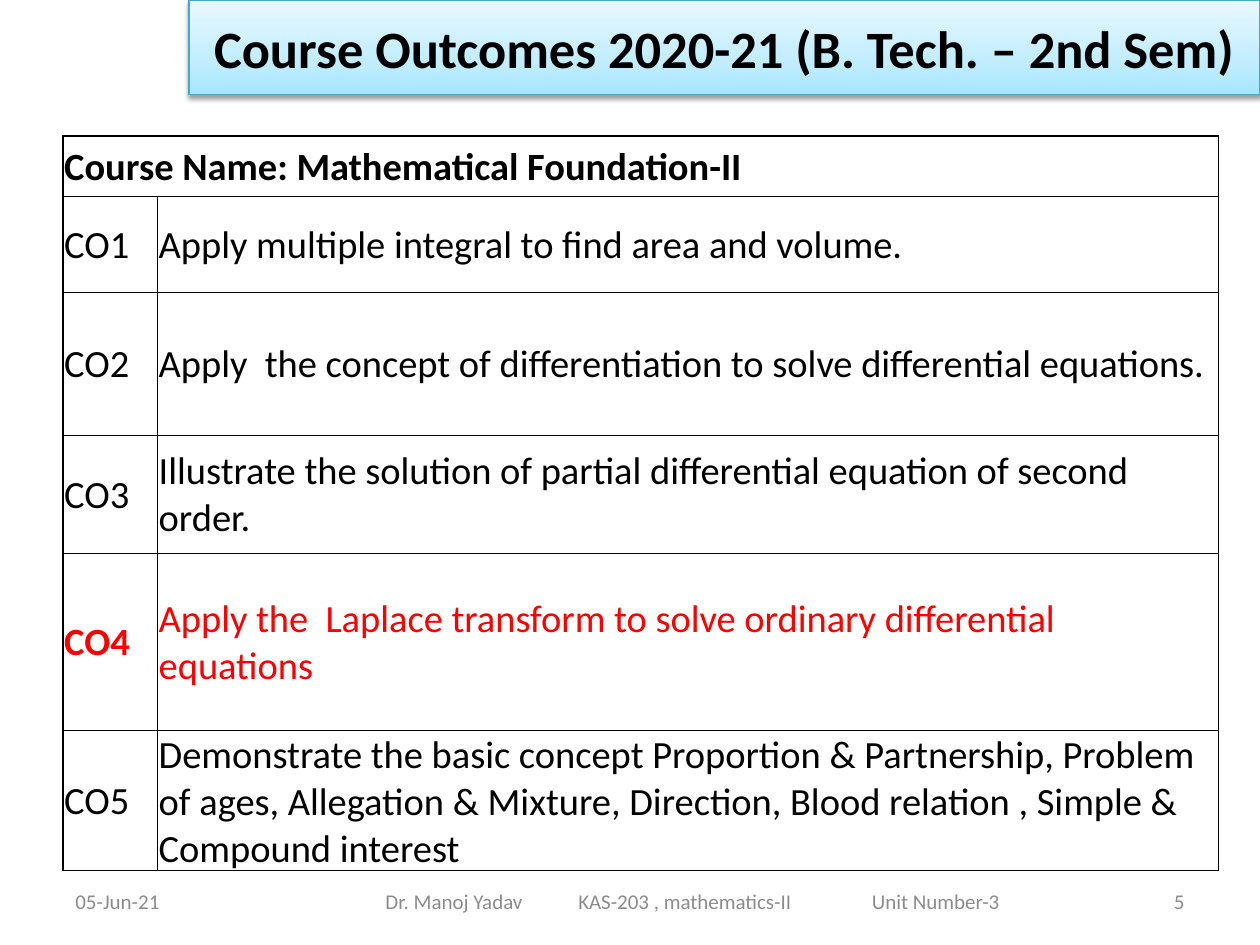
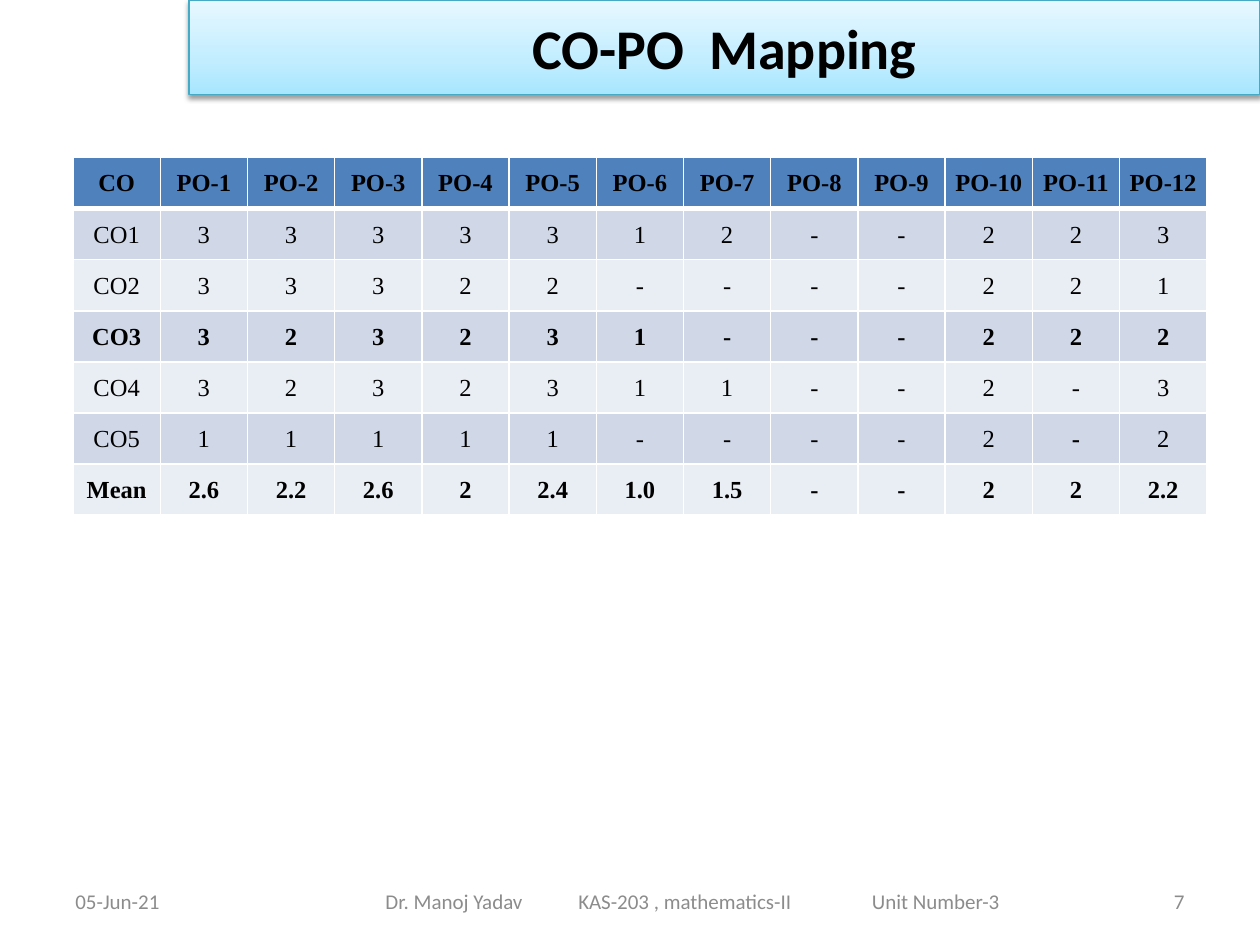
"""Builds the course outcome and CO-PO mapping slides."""
from pptx import Presentation
from pptx.dml.color import RGBColor
from pptx.enum.text import MSO_ANCHOR, MSO_AUTO_SIZE, PP_ALIGN
from pptx.oxml import parse_xml
from pptx.oxml.ns import nsdecls
from pptx.util import Inches, Pt

BLACK, RED, GREY, WHITE = "000000", "FF0000", "8C8C8C", "FFFFFF"
EDGE, HEAD, BANDS = "46AAC5", "4F81BD", ("E9EDF4", "D0D8E8")
GLOW = ((0, "A7E6FF"), (35, "C1EDFF"), (100, "E7F8FF"))
PLAIN = "{2D5ABB26-0587-4C30-8999-92F81FD0307C}"

COURSE = "Course Name: Mathematical Foundation-II"
AIMS = [
    "Apply multiple integral to find area and volume.",
    "Apply  the concept of differentiation to solve differential equations.",
    "Illustrate the solution of partial differential equation of second order.",
    "Apply the  Laplace transform to solve ordinary differential equations",
    "Demonstrate the basic concept Proportion & Partnership, Problem of ages, "
    "Allegation & Mixture, Direction, Blood relation , Simple & Compound interest",
]
SCORES = [
    "CO1 3 3 3 3 3 1 2 - - 2 2 3",
    "CO2 3 3 3 2 2 - - - - 2 2 1",
    "CO3 3 2 3 2 3 1 - - - 2 2 2",
    "CO4 3 2 3 2 3 1 1 - - 2 - 3",
    "CO5 1 1 1 1 1 - - - - 2 - 2",
    "Mean 2.6 2.2 2.6 2 2.4 1.0 1.5 - - 2 2 2.2",
]


def rgb(code):
    return RGBColor.from_string(code)


def xml(tag, body):
    name = tag.split()[0]
    return parse_xml(f"<a:{tag} {nsdecls('a')}>{body}</a:{name}>")


def tint(code, inner=""):
    return f'<a:srgbClr val="{code}">{inner}</a:srgbClr>'


class Deck:
    def __init__(self):
        self.show = Presentation()
        self.show.slide_width, self.show.slide_height = Inches(10), Inches(7.5)

    def start(self, title, size, number):
        self.slide = self.show.slides.add_slide(self.show.slide_layouts[5])
        self.band(title, size)
        self.note(0.5, 2.33, "05-Jun-21")
        self.note(7.17, 2.33, number, PP_ALIGN.RIGHT)
        self.note(2.75, 5.5, "Dr. Manoj Yadav\tKAS-203 , mathematics-II\tUnit Number-3",
                  inset=0.31, tabs=(1.53, 3.86))

    def label(self, para, text, size, color, bold=False, align=PP_ALIGN.LEFT, face="Calibri"):
        para.text, para.alignment = text, align
        font = para.font
        font.name, font.size, font.bold = face, Pt(size), bold
        font.color.rgb = rgb(color)

    def band(self, text, size):
        shape = self.slide.shapes.title
        shape.left, shape.top = Inches(1.5), Inches(0)
        shape.width, shape.height = Inches(8.5), Inches(0.75)
        stops = "".join(f'<a:gs pos="{pos * 1000}">{tint(code)}</a:gs>' for pos, code in GLOW)
        props = shape.element.spPr
        props.append(xml("gradFill", f'<a:gsLst>{stops}</a:gsLst><a:lin ang="16200000"/>'))
        shape.line.color.rgb = rgb(EDGE)
        shape.line.width = Pt(0.75)
        shade = tint(BLACK, '<a:alpha val="38000"/>')
        props.append(xml("effectLst", f'<a:outerShdw blurRad="{Pt(3.1)}" dist="{Pt(1.6)}" '
                         f'dir="5400000" rotWithShape="0">{shade}</a:outerShdw>'))
        frame = shape.text_frame
        frame.auto_size = MSO_AUTO_SIZE.NONE
        frame.vertical_anchor = MSO_ANCHOR.MIDDLE
        self.label(frame.paragraphs[0], text, size, BLACK, True, PP_ALIGN.CENTER)

    def note(self, left, width, text, align=PP_ALIGN.LEFT, inset=0.1, tabs=()):
        box = self.slide.shapes.add_textbox(Inches(left), Inches(6.95), Inches(width), Inches(0.4))
        frame = box.text_frame
        frame.word_wrap = True
        frame.margin_left = Inches(inset)
        frame.vertical_anchor = MSO_ANCHOR.MIDDLE
        para = frame.paragraphs[0]
        if tabs:
            marks = "".join(f'<a:tab pos="{Inches(tab)}" algn="l"/>' for tab in tabs)
            para._p.get_or_add_pPr().append(xml("tabLst", marks))
        self.label(para, text, 12, GREY, align=align)

    def grid(self, left, top, cols, rows):
        frame = self.slide.shapes.add_table(len(rows), len(cols), Inches(left), Inches(top),
                                            Inches(sum(cols)), Inches(sum(rows)))
        table = frame.table
        table._tbl.tblPr[0].text = PLAIN
        table.first_row = table.horz_banding = False
        for col, width in zip(table.columns, cols):
            col.width = Inches(width)
        for row, height in zip(table.rows, rows):
            row.height = Inches(height)
        return table

    def cell(self, cell, fill, color, edges, *style, **more):
        cell.margin_left = cell.margin_right = cell.margin_top = Inches(0.01)
        cell.margin_bottom = 0
        cell.vertical_anchor = MSO_ANCHOR.MIDDLE
        props = cell._tc.get_or_add_tcPr()
        for side, width in zip("LRTB", edges):
            props.append(xml(f'ln{side} w="{Pt(width)}"', f"<a:solidFill>{tint(color)}</a:solidFill>"))
        if fill:
            cell.fill.solid()
            cell.fill.fore_color.rgb = rgb(fill)
        else:
            cell.fill.background()
        self.label(cell.text_frame.paragraphs[0], *style, **more)


def aims(deck):
    deck.start("Course Outcomes 2020-21 (B. Tech. – 2nd Sem)", 30, "5")
    table = deck.grid(0.5, 1.08, [0.75, 8.42], [0.48, 0.76, 1.14, 0.93, 1.41, 1.11])
    head = table.cell(0, 0)
    head.merge(table.cell(0, 1))
    deck.cell(head, None, BLACK, (1, 1, 1, 0.5), COURSE, 22, BLACK, True)
    for row, aim in enumerate(AIMS, 1):
        color = RED if row == 4 else BLACK
        low = 1 if row == len(AIMS) else 0.5
        deck.cell(table.cell(row, 0), None, BLACK, (1, 0.5, 0.5, low),
                  f"CO{row}", 22, color, row == 4)
        deck.cell(table.cell(row, 1), None, BLACK, (0.5, 1, 0.5, low), aim, 22, color)


def scores(deck):
    deck.start("CO-PO  Mapping", 32, "7")
    lines = [["CO"] + [f"PO-{num}" for num in range(1, 13)]]
    lines += [line.split() for line in SCORES]
    count = len(lines[0])
    table = deck.grid(0.58, 1.25, [9 / count] * count, [2.84 / len(lines)] * len(lines))
    for row, line in enumerate(lines):
        fill = BANDS[row % 2] if row else HEAD
        edges = (1, 1, 3 if row == 1 else 1, 1 if row else 3)
        for col, text in enumerate(line):
            bold = row in (0, 3, 6) or (row, col) == (5, 11)
            deck.cell(table.cell(row, col), fill, WHITE, edges, text, 14, BLACK, bold,
                      align=PP_ALIGN.CENTER, face="Times New Roman")


def main():
    deck = Deck()
    aims(deck)
    scores(deck)
    deck.show.save("out.pptx")


if __name__ == "__main__":
    main()
